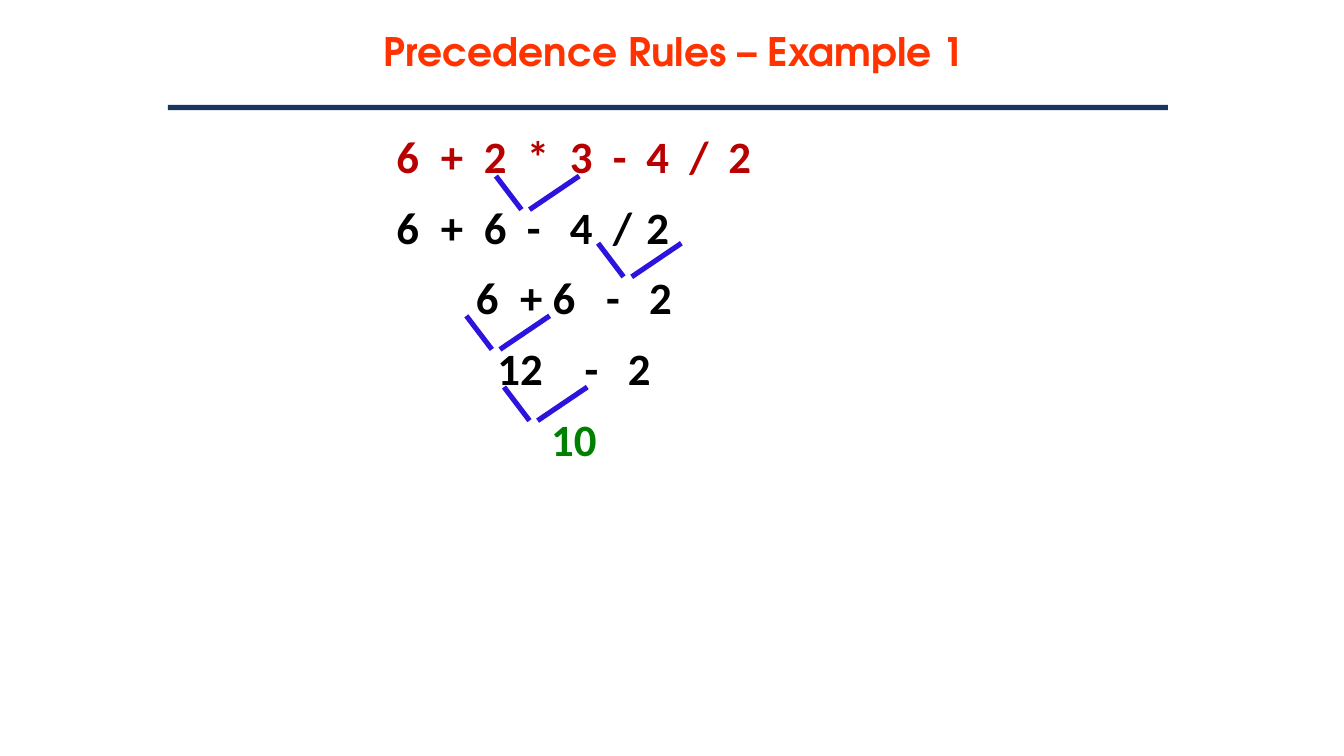
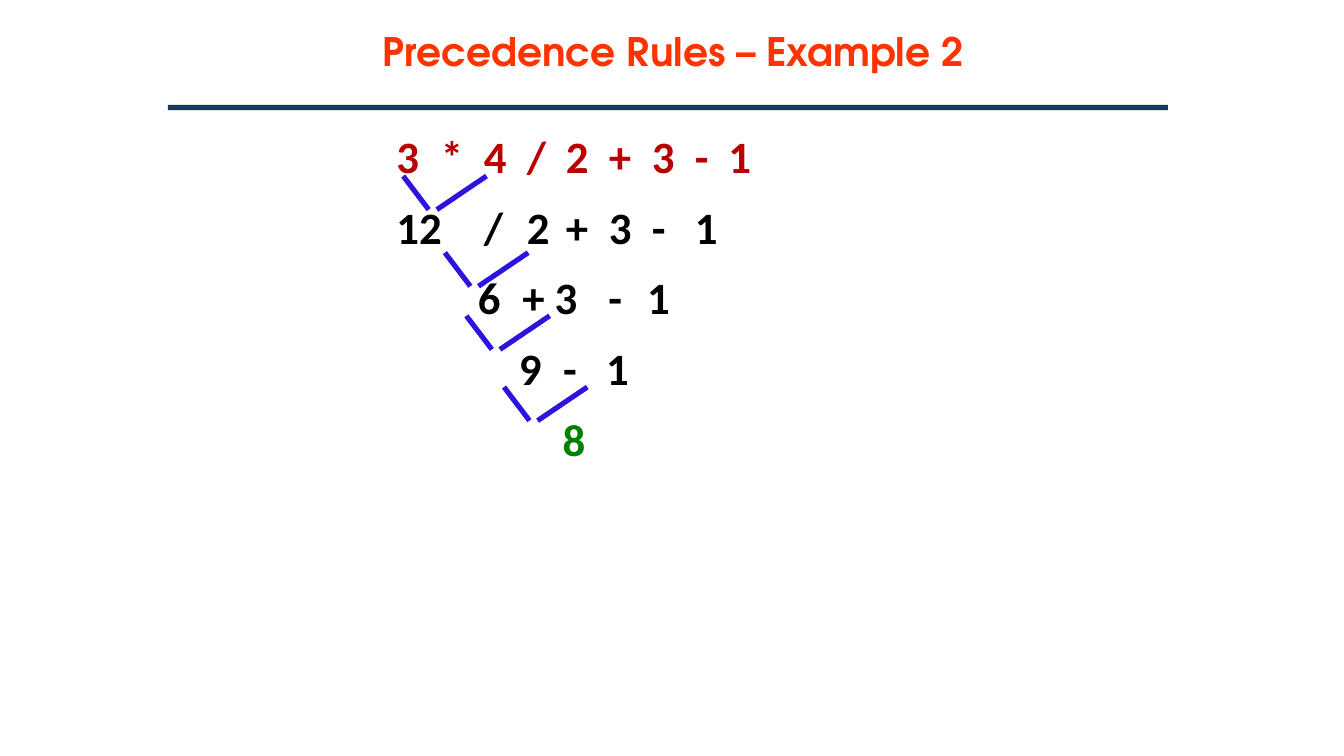
from lxml import etree
from pptx import Presentation
from pptx.dml.color import RGBColor
from pptx.enum.shapes import MSO_CONNECTOR, MSO_SHAPE
from pptx.enum.text import MSO_ANCHOR, MSO_AUTO_SIZE, PP_ALIGN
from pptx.oxml.ns import qn
from pptx.util import Inches, Pt

RECT = MSO_SHAPE.RECTANGLE
LINE = MSO_CONNECTOR.STRAIGHT
MID, TOP = MSO_ANCHOR.MIDDLE, MSO_ANCHOR.TOP
GROW = MSO_AUTO_SIZE.SHAPE_TO_FIT_TEXT
LEFT, MIDDLE = PP_ALIGN.LEFT, PP_ALIGN.CENTER

ORANGE, NAVY, BLUE = "FF3300", "17375E", "2C13DE"
RED, BLACK, GREEN = "B80000", "000000", "008000"
STYLES = [(LEFT, RED), (LEFT, BLACK), (MIDDLE, BLACK), (MIDDLE, BLACK), (MIDDLE, GREEN)]

SLIDES = [
    (
        "1", 2.14, 5.74,
        ["6\t+\t2\t*\t3\t-\t4\t/\t2", "6\t+\t6\t-\t4\t/\t2", "6\t+ 6\t-\t2", "12\t-\t2", "10"],
        [0.33, 0.65, 0.97, 1.29, 1.61, 1.86, 2.18, 2.47],
        [(3.69, 1.31), (4.45, 1.81), (3.47, 2.35), (3.75, 2.88)],
    ),
    (
        "2", 1.81, 6.38,
        ["3\t*\t4\t/\t2\t+\t3\t-\t1", "12\t/\t2\t+\t3\t-\t1", "6\t+ 3\t-\t1", "9\t-\t1", "8"],
        [0.33, 0.65, 0.97, 1.26, 1.58, 1.9, 2.22, 2.47],
        [(3, 1.31), (3.31, 1.88), (3.47, 2.35), (3.75, 2.88)],
    ),
]


def color(code):
    return RGBColor.from_string(code)


def add_text(slide, box, inset, anchor, lines, styles, face, size, gaps, tabs):
    frame = slide.shapes.add_textbox(*map(Inches, box)).text_frame
    frame.word_wrap = True
    frame.auto_size = GROW
    frame.vertical_anchor = anchor
    frame.margin_left = frame.margin_right = frame.margin_bottom = 0
    frame.margin_top = Inches(inset)
    for i, (line, (align, shade), gap) in enumerate(zip(lines, styles, gaps)):
        para = frame.add_paragraph() if i else frame.paragraphs[0]
        para.text = line
        para.alignment = align
        para.space_before = Pt(gap)
        props = para._p.get_or_add_pPr()
        props.set("marL", str(Inches(0.01)))
        if tabs:
            stops = etree.SubElement(props, qn("a:tabLst"))
            for stop in tabs:
                etree.SubElement(stops, qn("a:tab"), pos=str(Inches(stop)), algn="l")
        font = para.font
        font.name, font.size, font.bold = face, Pt(size), True
        font.color.rgb = color(shade)
    return para


deck = Presentation()
deck.slide_width = Inches(10)
deck.slide_height = deck.slide_width * 9 // 16

for number, left, width, steps, tabs, marks in SLIDES:
    slide = deck.slides.add_slide(deck.slide_layouts[6])
    title = add_text(slide, (left, 0.19, width, 0.36), 0.01, MID, ["Precedence Rules –"],
                     [(MIDDLE, ORANGE)], "TeX Gyre Adventor", 21, [0.8], [])
    for words, space in [(" Example ", "-10"), (number, "0")]:
        run = title.add_run()
        run.text = words
        run._r.get_or_add_rPr().set("spc", space)
    add_text(slide, (2.94, 0.82, 2.65, 2.66), 0.14, TOP, steps,
             STYLES, "Calibri", 24, [9.8, 9, 9, 9, 9], tabs)

    rule = slide.shapes.add_shape(RECT, Inches(1.25), Inches(0.78), Inches(7.44), Inches(0.04))
    rule.shadow.inherit = False
    rule.fill.solid()
    rule.fill.fore_color.rgb = color(NAVY)
    rule.line.fill.background()

    for x, y in marks:
        group = slide.shapes.add_group_shape()
        for start, end in [(0, 0.19), (0.62, 0.25)]:
            arm = group.shapes.add_connector(
                LINE, Inches(x + start), Inches(y), Inches(x + end), Inches(y + 0.25))
            arm.line.color.rgb = color(BLUE)
            arm.line.width = Pt(2.75)
            etree.SubElement(arm._element.spPr, qn("a:effectLst"))

deck.save("out.pptx")
